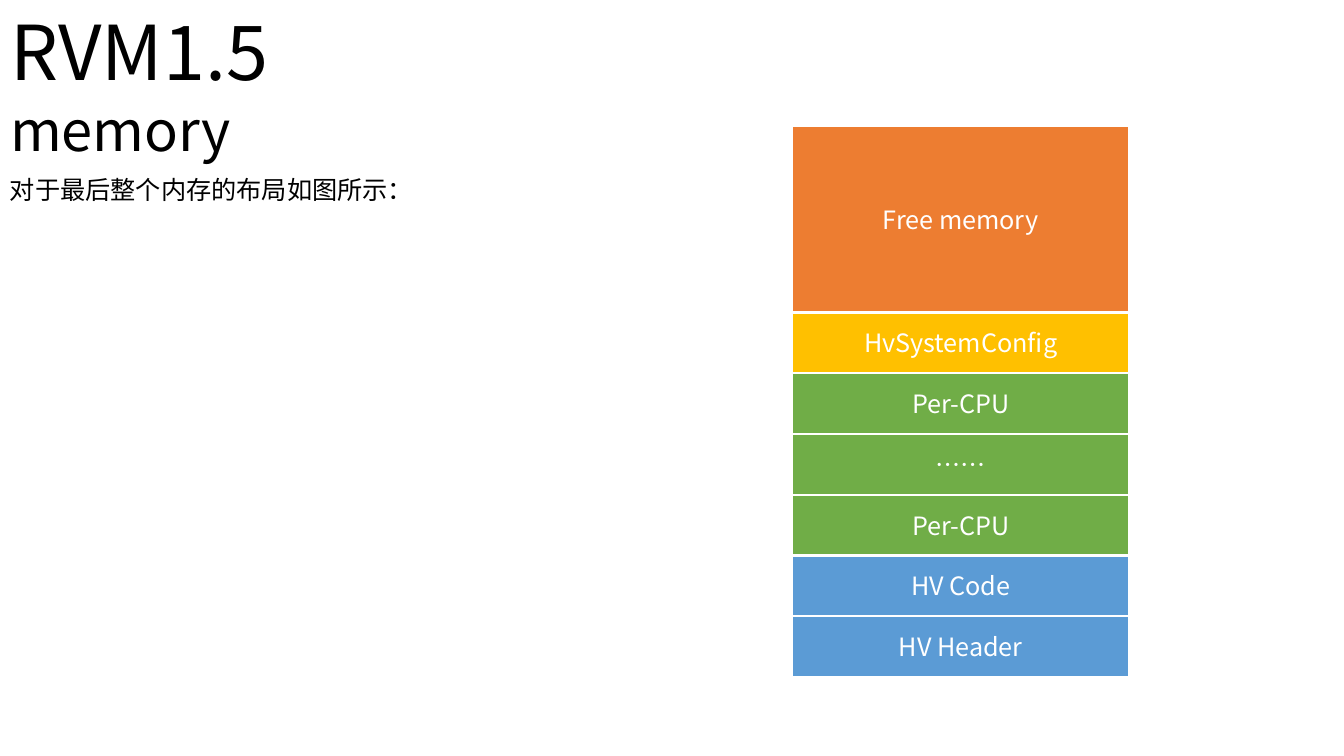
from lxml.etree import SubElement
from pptx import Presentation
from pptx.dml.color import RGBColor
from pptx.enum.shapes import MSO_SHAPE
from pptx.enum.text import MSO_ANCHOR, PP_ALIGN
from pptx.oxml.ns import qn
from pptx.util import Pt

BLACK = RGBColor(0x00, 0x00, 0x00)
WHITE = RGBColor(0xFF, 0xFF, 0xFF)
ORANGE = RGBColor(0xED, 0x7D, 0x31)
YELLOW = RGBColor(0xFF, 0xC0, 0x00)
GREEN = RGBColor(0x70, 0xAD, 0x47)
BLUE = RGBColor(0x5B, 0x9B, 0xD5)

STACK_LEFT, STACK_TOP, STACK_WIDTH = 566, 90, 240.5
FREE_HEIGHT, REGION_HEIGHT = 133.2, 43.4
MEMORY_REGIONS = [
    ("Free memory", ORANGE, FREE_HEIGHT),
    ("HvSystemConfig", YELLOW, REGION_HEIGHT),
    ("Per-CPU", GREEN, REGION_HEIGHT),
    ("……", GREEN, REGION_HEIGHT),
    ("Per-CPU", GREEN, REGION_HEIGHT),
    ("HV Code", BLUE, REGION_HEIGHT),
    ("HV Header", BLUE, REGION_HEIGHT),
]


class MemorySlide:
    font_name = "Noto Sans CJK SC"
    text_size = 18

    def __init__(self, deck):
        self.slide = deck.slides.add_slide(deck.slide_layouts[5])

    def format_paragraph(self, para, size, color, align):
        para.alignment = align
        for span in para.runs:
            span.font.name = self.font_name
            span.font.size = Pt(size)
            span.font.color.rgb = color
            east_asian = SubElement(span.font._element, qn("a:ea"))
            east_asian.set("typeface", self.font_name)

    def place_title(self, lines, left, top, width, height):
        """Fill the title placeholder with (text, size) lines."""
        title = self.slide.shapes.title
        title.left, title.top = Pt(left), Pt(top)
        title.width, title.height = Pt(width), Pt(height)
        frame = title.text_frame
        frame.text = "\n".join(text for text, size in lines)
        frame.vertical_anchor = MSO_ANCHOR.TOP
        frame.word_wrap = False
        for para, (text, size) in zip(frame.paragraphs, lines):
            self.format_paragraph(para, size, BLACK, PP_ALIGN.LEFT)

    def add_text(self, text, left, top, width, height):
        box = self.slide.shapes.add_textbox(Pt(left), Pt(top), Pt(width), Pt(height))
        box.text_frame.word_wrap = True
        box.text_frame.text = text
        self.format_paragraph(box.text_frame.paragraphs[0], self.text_size, BLACK, PP_ALIGN.LEFT)

    def add_region(self, label, color, top, height):
        region = self.slide.shapes.add_shape(
            MSO_SHAPE.RECTANGLE, Pt(STACK_LEFT), Pt(top), Pt(STACK_WIDTH), Pt(height))
        region.shadow.inherit = False
        region.fill.solid()
        region.fill.fore_color.rgb = color
        region.line.color.rgb = WHITE
        region.line.width = Pt(1.5)
        frame = region.text_frame
        frame.text = label
        frame.vertical_anchor = MSO_ANCHOR.MIDDLE
        self.format_paragraph(frame.paragraphs[0], self.text_size, WHITE, PP_ALIGN.CENTER)


def main():
    deck = Presentation()
    deck.slide_width, deck.slide_height = Pt(960), Pt(540)
    page = MemorySlide(deck)
    page.place_title([("RVM1.5", 54), ("memory", 40)], 0, 0, 211, 121)
    page.add_text("对于最后整个内存的布局如图所示：", 0, 121, 368.6, 29)
    top = STACK_TOP
    for label, color, height in MEMORY_REGIONS:
        page.add_region(label, color, top, height)
        top += height
    deck.save("out.pptx")


if __name__ == "__main__":
    main()
